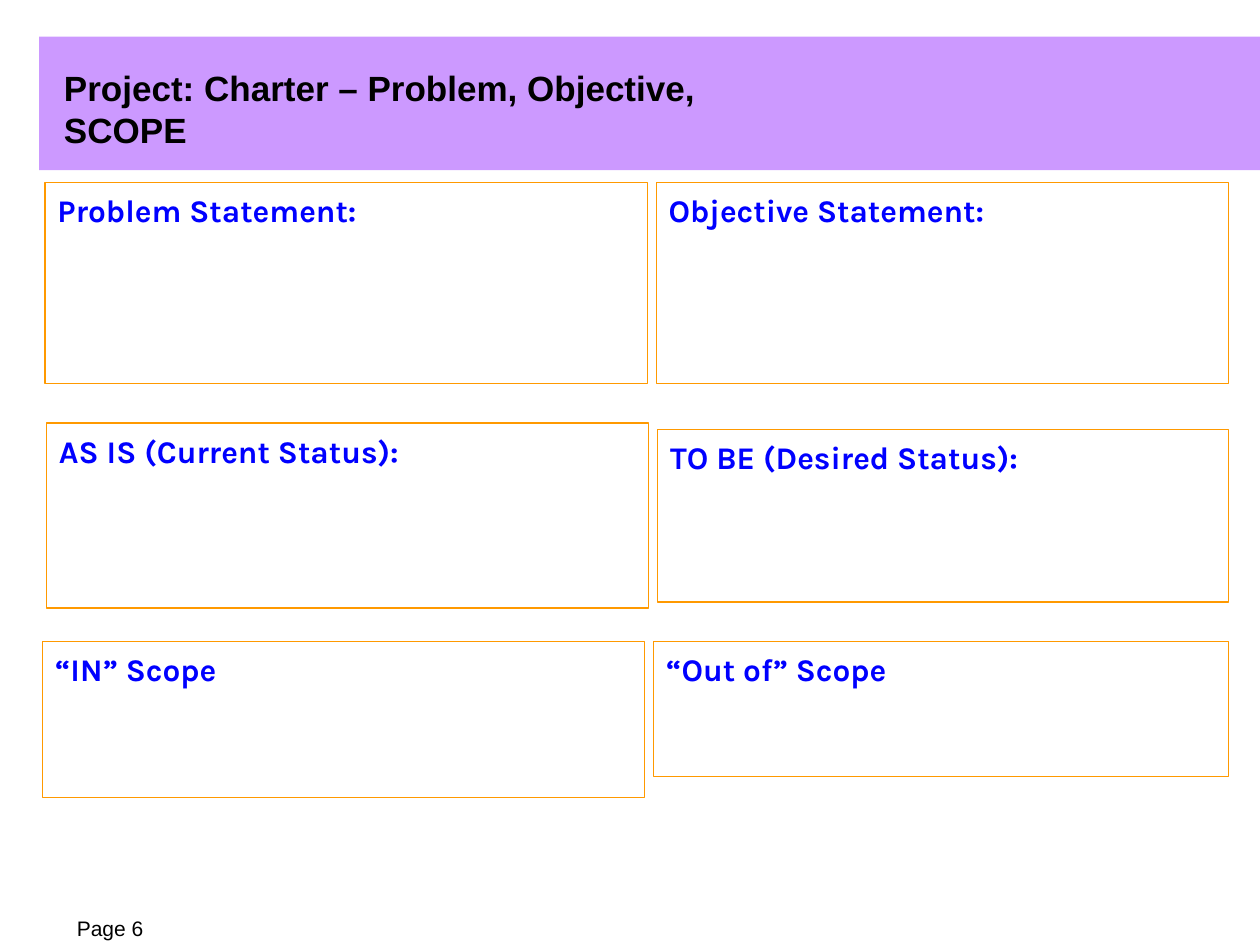
"""Build the project charter slide with its problem, objective and scope panels."""
from dataclasses import dataclass

from pptx import Presentation
from pptx.dml.color import RGBColor
from pptx.enum.shapes import MSO_SHAPE
from pptx.enum.text import MSO_ANCHOR, MSO_AUTO_SIZE, PP_ALIGN
from pptx.util import Cm, Pt

RECTANGLE = MSO_SHAPE.RECTANGLE
TOP, MIDDLE, BOTTOM = MSO_ANCHOR.TOP, MSO_ANCHOR.MIDDLE, MSO_ANCHOR.BOTTOM
LEFT = PP_ALIGN.LEFT
NO_AUTOFIT = MSO_AUTO_SIZE.NONE

LILAC = RGBColor(0xCC, 0x99, 0xFF)
ORANGE = RGBColor(0xFF, 0x99, 0x00)
BLUE = RGBColor(0x00, 0x00, 0xFF)
BLACK = RGBColor(0x00, 0x00, 0x00)

LEFT_PANEL_WIDTH = 12.14
RIGHT_EDGE = 24.77
PANEL_FONT = {"name": "Karla", "size": Pt(18), "bold": True}
TITLE_FONT = {"name": "Arial", "size": Pt(20), "bold": True}
PAGE_FONT = {"name": "Arial", "size": Pt(12), "bold": False}
PANEL_FRAME = {"margin_left": Cm(0.25), "margin_right": Cm(0.25), "margin_top": Cm(0.17),
               "margin_bottom": Cm(0.13), "vertical_anchor": TOP, "word_wrap": True}
TITLE_FRAME = {"margin_left": Cm(0.25), "margin_right": Cm(0.25), "margin_top": Cm(0.13),
               "margin_bottom": Cm(0.13), "vertical_anchor": MIDDLE, "word_wrap": False,
               "auto_size": NO_AUTOFIT}
PAGE_FRAME = {"margin_left": 0, "margin_right": 0, "margin_top": 0,
              "margin_bottom": 0, "vertical_anchor": BOTTOM, "word_wrap": True}


@dataclass(frozen=True)
class Panel:
    heading: str
    left: float
    top: float
    width: float
    height: float


def left_panel(heading: str, left: float, top: float, height: float) -> Panel:
    return Panel(heading, left, top, LEFT_PANEL_WIDTH, height)


def right_panel(heading: str, left: float, top: float, height: float) -> Panel:
    return Panel(heading, left, top, RIGHT_EDGE - left, height)


PANELS = (
    left_panel("Problem Statement:", 0.91, 3.68, 4.06),
    right_panel("Objective Statement:", 13.23, 3.68, 4.06),
    left_panel("AS IS (Current Status):", 0.94, 8.53, 3.73),
    right_panel("TO BE (Desired Status):", 13.26, 8.66, 3.48),
    left_panel("“IN” Scope", 0.86, 12.93, 3.15),
    right_panel("“Out of” Scope", 13.18, 12.93, 2.72),
)


def apply(target, values: dict) -> None:
    for attribute, value in values.items():
        setattr(target, attribute, value)


def write(shape, text: str, frame: dict, font: dict, color: RGBColor) -> None:
    apply(shape.text_frame, frame)
    paragraph = shape.text_frame.paragraphs[0]
    paragraph.alignment = LEFT
    run = paragraph.add_run()
    run.text = text
    apply(run.font, font)
    run.font.color.rgb = color


def draw_band(slide) -> None:
    band = slide.shapes.add_shape(RECTANGLE, Cm(0.79), Cm(0.74), Cm(24.61), Cm(2.69))
    band.shadow.inherit = False
    band.fill.solid()
    band.fill.fore_color.rgb = LILAC
    band.line.fill.background()


def draw_panel(slide, panel: Panel) -> None:
    box = slide.shapes.add_shape(RECTANGLE, Cm(panel.left), Cm(panel.top),
                                 Cm(panel.width), Cm(panel.height))
    box.shadow.inherit = False
    box.fill.background()
    box.line.color.rgb = ORANGE
    box.line.width = Pt(0.75)
    write(box, panel.heading, PANEL_FRAME, PANEL_FONT, BLUE)


def place_title(slide) -> None:
    title = slide.shapes.title
    apply(title, {"left": Cm(1.04), "top": Cm(1.63), "width": Cm(15.9), "height": Cm(1.12)})
    write(title, "Project: Charter – Problem, Objective, SCOPE", TITLE_FRAME, TITLE_FONT, BLACK)
    title.element.getparent().append(title.element)


def main() -> None:
    deck = Presentation()
    deck.slide_width, deck.slide_height = Cm(25.4), Cm(19.05)
    slide = deck.slides.add_slide(deck.slide_layouts.get_by_name("Title Only"))
    draw_band(slide)
    page_label = slide.shapes.add_textbox(Cm(1.55), Cm(18.21), Cm(2.44), Cm(0.76))
    write(page_label, "Page 6", PAGE_FRAME, PAGE_FONT, BLACK)
    for panel in PANELS:
        draw_panel(slide, panel)
    place_title(slide)
    deck.save("out.pptx")


if __name__ == "__main__":
    main()
